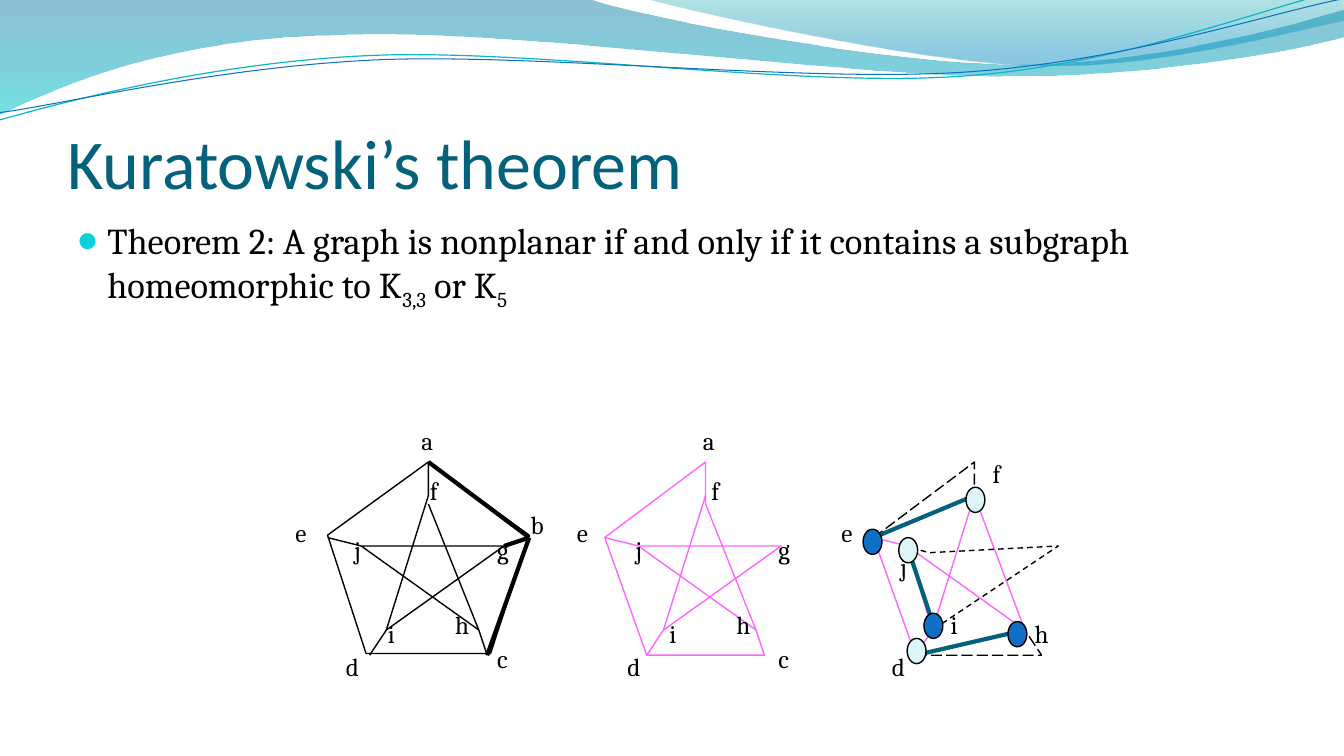
from dataclasses import dataclass

from lxml import etree
from pptx import Presentation
from pptx import util as u
from pptx.dml.color import RGBColor
from pptx.enum import dml, shapes, text
from pptx.oxml.ns import qn


@dataclass(frozen=True)
class Theme:
    """Colours, fonts and type sizes of the slide."""
    ink: str = "000000"
    title: str = "04617B"
    bullet: str = "0BD0D9"
    pink: str = "FF66FF"
    blue: str = "0F6FC6"
    pale: str = "DBF5F9"
    teal: str = "0AB8BF"
    heading_font: str = "Calibri"
    body_font: str = "Cambria"
    title_size: int = 50
    body_size: int = 26
    label_size: int = 18
    thin: float = 1
    thick: float = 3


THEME = Theme()
COLUMNS, ROWS = 160, 90
CELL = u.Inches(1 / 12)

VERTICES = {
    "a": (12, 0), "b": (24, 9), "c": (19, 23), "d": (5, 23), "e": (0, 9),
    "f": (12, 4), "g": (21, 10), "h": (18, 20), "i": (7, 20), "j": (4, 10),
    "F": (12, 5), "C": (20, 23), "G": (22, 10), "I": (7, 19),
    "J": (4.5, 10.2), "K": (6.6, 10.8),
}
LABELS = {
    "e": (-5, 6), "f": (11, 1), "j": (2, 8), "i": (6, 18), "h": (14, 17),
    "g": (19, 8), "d": (1, 22), "c": (19, 21), "a": (10, -5),
}
SUBGRAPH_LABELS = {
    "e": (-5, 6), "f": (13, -1), "j": (2, 10), "i": (8, 17), "h": (18, 18), "d": (1, 22),
}
NODES = {
    "e": (-1.25, 8, THEME.blue), "j": (3, 9, THEME.pale), "i": (6, 18, THEME.blue),
    "d": (4, 21, THEME.pale), "h": (16, 19, THEME.blue), "f": (11, 3, THEME.pale),
}


def cells(*counts):
    """Convert counts of grid cells to lengths."""
    return [u.Emu(round(count * CELL)) for count in counts]


def set_line(shape, color, width, dash=None):
    """Style the line of a shape or connector."""
    shape.line.color.rgb = RGBColor.from_string(color)
    shape.line.width = u.Pt(width)
    if dash:
        shape.line.dash_style = dash


def add_outline(slide, points, closed=False):
    """Draw an unfilled freeform through points given in cells."""
    start, *others = [cells(*point) for point in points]
    builder = slide.shapes.build_freeform(*start)
    builder.add_line_segments(others, close=closed)
    shape = builder.convert_to_shape()
    shape.shadow.inherit = False
    shape.fill.background()
    return shape


def add_curve(slide, start, segments, closed=False):
    """Draw straight (x, y) and cubic six-number segments as one freeform."""
    shape = add_outline(slide, [start, *(segment[-2:] for segment in segments)], closed)
    sides = list(shape.element.spPr.iter(qn("a:lnTo")))
    for side, segment in zip(sides, segments):
        if len(segment) == 2:
            continue
        side.tag = qn("a:cubicBezTo")
        for index in (0, 2):
            x, y = cells(*segment[index:index + 2])
            control = etree.Element(qn("a:pt"), x=str(x - shape.left), y=str(y - shape.top))
            side.insert(index // 2, control)
    return shape


def add_wave(slide, start, segments, stops):
    """Draw a closed wave with a translucent vertical gradient."""
    shape = add_curve(slide, start, segments, closed=True)
    shape.line.fill.background()
    shape.fill.gradient()
    shape.fill.gradient_angle = 270
    for stop, (position, color, _) in zip(shape.fill.gradient_stops, stops):
        stop.position = position
        stop.color.rgb = RGBColor.from_string(color)
    colors = shape.element.spPr.iter(qn("a:srgbClr"))
    for element, (_, _, opacity) in zip(list(colors), stops):
        etree.SubElement(element, qn("a:alpha"), val=str(opacity * 1000))


def add_header(slide):
    """Draw the waves and curved lines along the top edge."""
    add_wave(slide, (0, 0), [
        (70.4, -0.1), (76.1, 2, 106.2, 7.6, 121.3, 7.6), (136.6, 7.6, 153.4, 3.1, 160, 1.1),
        (160.2, 4.3), (157.3, 5.3, 139.2, 9.1, 119.3, 9), (99.5, 9, 61.1, 3.4, 41.2, 4.1),
        (20.6, 4.3, 7.3, 10, -0.1, 13.6)], [(0, "0074A1", 45), (1, "00C6CF", 55)])
    add_wave(slide, (76.7, -0.1), [
        (81.5, 1.3, 109.1, 7.4, 123, 7.8), (136.9, 8.3, 153.8, 3.8, 160, 2.5), (160, 0)],
        [(0, "00A1A9", 30), (0.8, "008BBF", 45)])
    for color, width, start, segments in [
        (THEME.teal, 0.85, (-0.1, 14.3), [
            (7.7, 12.1, 25.3, 7.4, 44.3, 6.6), (63.2, 5.8, 94.8, 10.4, 114, 9.1),
            (133.2, 7.9, 150.2, 1, 159.7, -1.2)]),
        (THEME.blue, 0.75, (0, 13.4), [
            (7.6, 12.4, 26.2, 7.9, 45.4, 7.1), (64.4, 6.4, 95.5, 9.8, 114.6, 8.6),
            (133.8, 7.4, 150.6, 1.7, 160.1, -0.2)]),
    ]:
        set_line(add_curve(slide, start, segments), color, width)


def add_text(slide, box, runs, font, size, color):
    """Add a text box of (text, baseline) runs and return its frame."""
    frame = slide.shapes.add_textbox(*cells(*box)).text_frame
    frame.word_wrap = True
    paragraph = frame.paragraphs[0]
    for words, baseline in runs:
        run = paragraph.add_run()
        run.text = words
        run.font.name = font
        run.font.size = u.Pt(size)
        run.font.color.rgb = RGBColor.from_string(color)
        if baseline:
            run.font._element.set("baseline", str(baseline * 1000))
    return frame


def add_title(slide, box):
    """Place the heading at the bottom of its box."""
    frame = add_text(slide, box, [("Kuratowski’s theorem", 0)],
                     THEME.heading_font, THEME.title_size, THEME.title)
    frame.vertical_anchor = text.MSO_ANCHOR.BOTTOM
    frame.margin_left = frame.margin_right = frame.margin_bottom = 0


def add_theorem(slide, box):
    """Place the bulleted statement of the theorem."""
    runs = [("Theorem 2: A graph is nonplanar if and only if it contains a subgraph "
             "homeomorphic to K", 0), ("3,3", -25), (" or K", 0), ("5", -25)]
    frame = add_text(slide, box, runs, THEME.body_font, THEME.body_size, THEME.ink)
    properties = frame.paragraphs[0]._p.get_or_add_pPr()
    properties.set("marL", str(u.Inches(0.3)))
    properties.set("indent", str(-u.Inches(0.3)))
    color = etree.SubElement(properties, qn("a:buClr"))
    etree.SubElement(color, qn("a:srgbClr"), val=THEME.bullet)
    etree.SubElement(properties, qn("a:buSzPct"), val="95000")
    etree.SubElement(properties, qn("a:buFont"), typeface=THEME.heading_font)
    etree.SubElement(properties, qn("a:buChar"), char="●")


def add_edges(slide, origin, trails, color, width=THEME.thin, dash=None):
    """Draw trails of vertex names; a trail back to its start is closed."""
    for trail in trails:
        points = [(origin[0] + VERTICES[name][0], origin[1] + VERTICES[name][1])
                  for name in trail]
        if len(points) == 2:
            edge = slide.shapes.add_connector(
                shapes.MSO_CONNECTOR.STRAIGHT, *cells(*points[0], *points[1]))
            set_line(edge, color, width, dash)
            etree.SubElement(edge._element.spPr, qn("a:effectLst"))
        else:
            closed = trail[0] == trail[-1]
            outline = add_outline(slide, points[:-1] if closed else points, closed)
            set_line(outline, color, width, dash)


def add_labels(slide, origin, labels):
    """Write vertex names at their offsets from the graph origin."""
    for name, (column, row) in labels.items():
        add_text(slide, (origin[0] + column, origin[1] + row, 5, 4.8), [(name, 0)],
                 THEME.body_font, THEME.label_size, THEME.ink)


def add_petersen_graph(slide, origin):
    """Draw the whole graph with the edges at b emphasised."""
    pentagon = slide.shapes.add_shape(
        shapes.MSO_SHAPE.REGULAR_PENTAGON, *cells(*origin, 24, 22.8))
    pentagon.shadow.inherit = False
    pentagon.fill.background()
    set_line(pentagon, THEME.ink, THEME.thin)
    add_edges(slide, origin, ["afigjhF", "ej", "hc", "di"], THEME.ink)
    add_edges(slide, origin, ["gb", "ab", "bc"], THEME.ink, THEME.thick)
    add_labels(slide, origin, {**LABELS, "b": (23, 5)})


def add_reduced_graph(slide, origin):
    """Draw the graph left when b is removed."""
    add_edges(slide, origin, ["FaedchF", "fid", "ejgi", "jh"], THEME.pink)
    add_labels(slide, (origin[0] + 0.5, origin[1]), LABELS)


def add_bipartite_graph(slide, origin):
    """Draw the subgraph homeomorphic to K3,3 with two node colours."""
    add_edges(slide, origin, ["fedhf", "fid", "eji", "jh"], THEME.pink)
    add_edges(slide, origin, ["JKGi"], THEME.ink, dash=dml.MSO_LINE.DASH)
    add_edges(slide, origin, ["eaf", "dCh"], THEME.ink, dash=dml.MSO_LINE.LONG_DASH)
    add_edges(slide, origin, ["dh", "ef", "jI"], THEME.title, THEME.thick)
    add_labels(slide, origin, SUBGRAPH_LABELS)
    for column, row, color in NODES.values():
        node = slide.shapes.add_shape(
            shapes.MSO_SHAPE.OVAL, *cells(origin[0] + column, origin[1] + row, 2.25, 3))
        node.shadow.inherit = False
        node.fill.solid()
        node.fill.fore_color.rgb = RGBColor.from_string(color)
        set_line(node, THEME.ink, THEME.thin)


def main():
    """Build and save the slide."""
    presentation = Presentation()
    presentation.slide_width, presentation.slide_height = cells(COLUMNS, ROWS)
    slide = presentation.slides.add_slide(presentation.slide_layouts[6])
    add_header(slide)
    add_title(slide, (8, 9.25, 144, 15))
    add_theorem(slide, (8, 25.4, 144, 57.6))
    add_petersen_graph(slide, (39, 55))
    add_reduced_graph(slide, (72, 55))
    add_bipartite_graph(slide, (104, 55))
    presentation.save("out.pptx")


if __name__ == "__main__":
    main()
